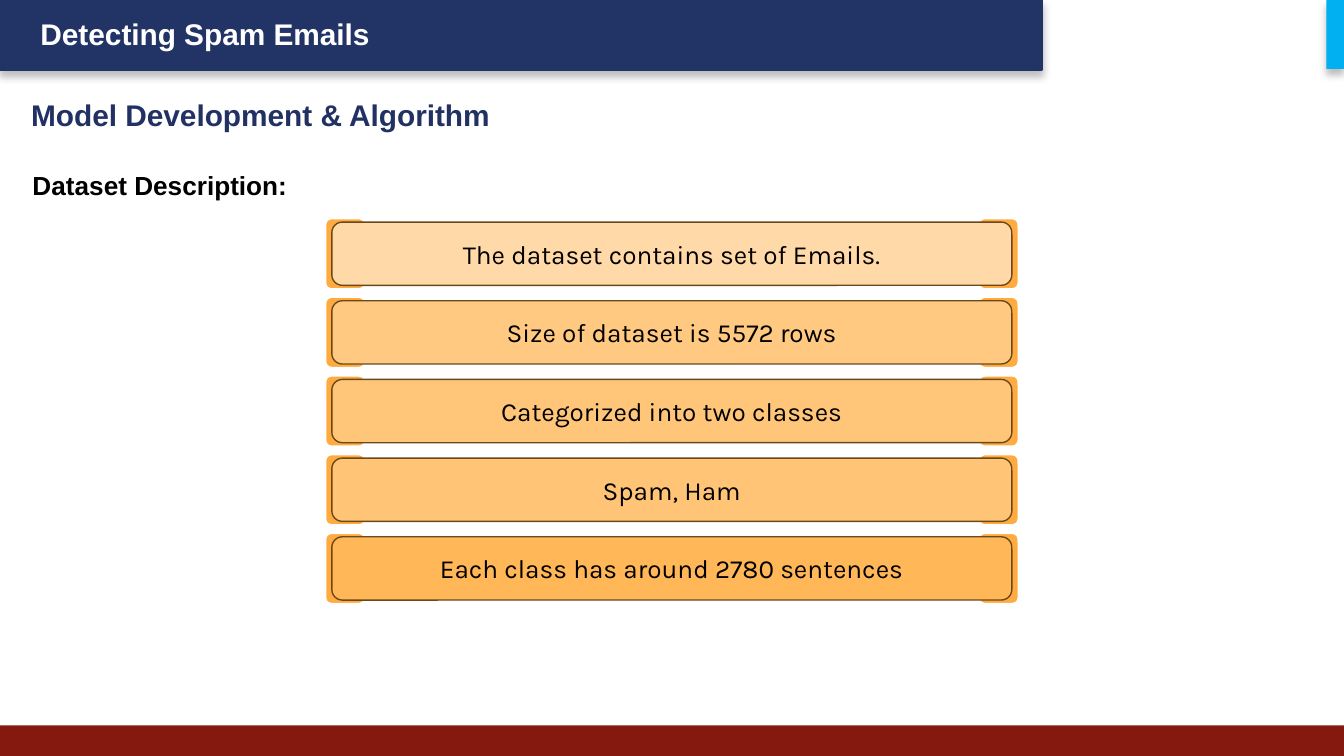
from dataclasses import dataclass

import lxml.etree
import pptx
import pptx.dml.color
import pptx.enum.shapes
import pptx.enum.text
import pptx.oxml
import pptx.oxml.ns
import pptx.util

Pt = pptx.util.Pt
SHAPE = pptx.enum.shapes.MSO_SHAPE
ANCHOR = pptx.enum.text.MSO_ANCHOR
ALIGN = pptx.enum.text.PP_ALIGN


@dataclass(frozen=True)
class Theme:
    navy: str = "223366"
    heading: str = "213163"
    red: str = "851910"
    cyan: str = "00B0F0"
    orange: str = "FFAB40"
    brown: str = "6B481B"
    white: str = "FFFFFF"
    black: str = "000000"
    font: str = "Arial"
    row_font: str = "Karla"
    title_size: int = 16
    text_size: int = 14


THEME = Theme()

ROWS = [
    ("The dataset contains set of Emails.", "FFD9A7"),
    ("Size of dataset is 5572 rows", "FFC981"),
    ("Categorized into two classes", "FFC679"),
    ("Spam, Ham", "FFC475"),
    ("Each class has around 2780 sentences", "FFB757"),
]


def rgb(value):
    return pptx.dml.color.RGBColor.from_string(value)


def add_box(slide, kind, box, fill, line=None, width=0):
    sp = slide.shapes.add_shape(kind, *map(Pt, box))
    sp.shadow.inherit = False
    sp.fill.solid()
    sp.fill.fore_color.rgb = rgb(fill)
    if line:
        sp.line.color.rgb = rgb(line)
        sp.line.width = Pt(width)
    else:
        sp.line.fill.background()
    return sp


def add_shadow(sp):
    effects = sp._element.spPr.find(pptx.oxml.ns.qn("a:effectLst"))
    effects.append(pptx.oxml.parse_xml(
        f'<a:outerShdw {pptx.oxml.ns.nsdecls("a")} blurRad="{Pt(4)}" dist="{Pt(3)}" '
        'dir="5400000" algn="t" rotWithShape="0">'
        f'<a:srgbClr val="{THEME.black}"><a:alpha val="25000"/></a:srgbClr></a:outerShdw>'))


def write(sp, text, size, color, font=THEME.font, bold=True, align=ALIGN.LEFT,
          anchor=ANCHOR.TOP, margins=(7.2, 7.2, 7.2, 7.2)):
    tf = sp.text_frame
    tf.word_wrap = True
    tf.auto_size = pptx.enum.text.MSO_AUTO_SIZE.NONE
    tf.vertical_anchor = anchor
    tf.margin_left, tf.margin_top, tf.margin_right, tf.margin_bottom = map(Pt, margins)
    p = tf.paragraphs[0]
    p.alignment = align
    p.space_before = Pt(0)
    r = p.add_run()
    r.text = text
    r.font.name = font
    r.font.size = Pt(size)
    r.font.bold = bold
    r.font.color.rgb = rgb(color)
    return p


def place(sp, box):
    sp.left, sp.top, sp.width, sp.height = map(Pt, box)


def add_header(slide, box):
    x, y, w, h = box
    # Navy banner and cyan corner
    banner_w, corner_w = 558, 9.4
    add_shadow(add_box(slide, SHAPE.RECTANGLE, (x, y, banner_w, h), THEME.navy, THEME.navy, 2))
    add_shadow(add_box(slide, SHAPE.RECTANGLE, (x + w - corner_w, y, corner_w, h), THEME.cyan))
    # Deck name
    label = slide.shapes.add_textbox(*map(Pt, (x + 10, y + 5, 306, 26.6)))
    write(label, "Detecting Spam Emails", THEME.title_size, THEME.white,
          margins=(11.65, 3.6, 7.2, 3.6))


def add_footer(slide, box):
    add_box(slide, SHAPE.RECTANGLE, box, THEME.red)


def add_headings(slide, box):
    x, y, w, h = box
    # Slide title
    title = slide.shapes.title
    place(title, (x, y, w, 34))
    write(title, "Model Development & Algorithm", THEME.title_size, THEME.heading)
    # Lead-in, without the template's bullet
    body = slide.placeholders[1]
    place(body, (x + 0.7, y + h - 30, w, 30))
    p = write(body, "Dataset Description:", THEME.text_size, THEME.black)
    p.space_after = Pt(8)
    pPr = p._p.get_or_add_pPr()
    pPr.set("marL", "0")
    pPr.set("indent", "0")
    lxml.etree.SubElement(pPr, pptx.oxml.ns.qn("a:buNone"))


def add_rows(slide, box):
    x, y, w, h = box
    tab_w, tab_h, inset, bar_h = 22.3, 38.9, 4, 33.9
    pitch = (h - tab_h) / (len(ROWS) - 1)
    for i, (text, fill) in enumerate(ROWS):
        top = y + i * pitch
        # Orange tabs behind both ends
        for left in (x, x + w - tab_w):
            add_box(slide, SHAPE.ROUNDED_RECTANGLE, (left, top, tab_w, tab_h),
                    THEME.orange, THEME.white, 2)
        # Bar with the statement
        bar = add_box(slide, SHAPE.ROUNDED_RECTANGLE,
                      (x + inset, top + (tab_h - bar_h) / 2, w - 2 * inset, bar_h),
                      fill, THEME.brown, 0.75)
        write(bar, text, THEME.text_size, THEME.black, THEME.row_font, False,
              ALIGN.CENTER, ANCHOR.MIDDLE, (7.2, 3.6, 7.2, 3.6))


def main():
    prs = pptx.Presentation()
    prs.slide_width, prs.slide_height = Pt(720), Pt(405)
    slide = prs.slides.add_slide(prs.slide_layouts[1])
    add_header(slide, (0, 0, 720, 37))
    add_footer(slide, (0, 388.6, 720, 16.4))
    add_headings(slide, (9.5, 44.6, 350, 69))
    add_rows(slide, (173.8, 116.5, 372.3, 207.5))
    prs.save("out.pptx")


if __name__ == "__main__":
    main()
